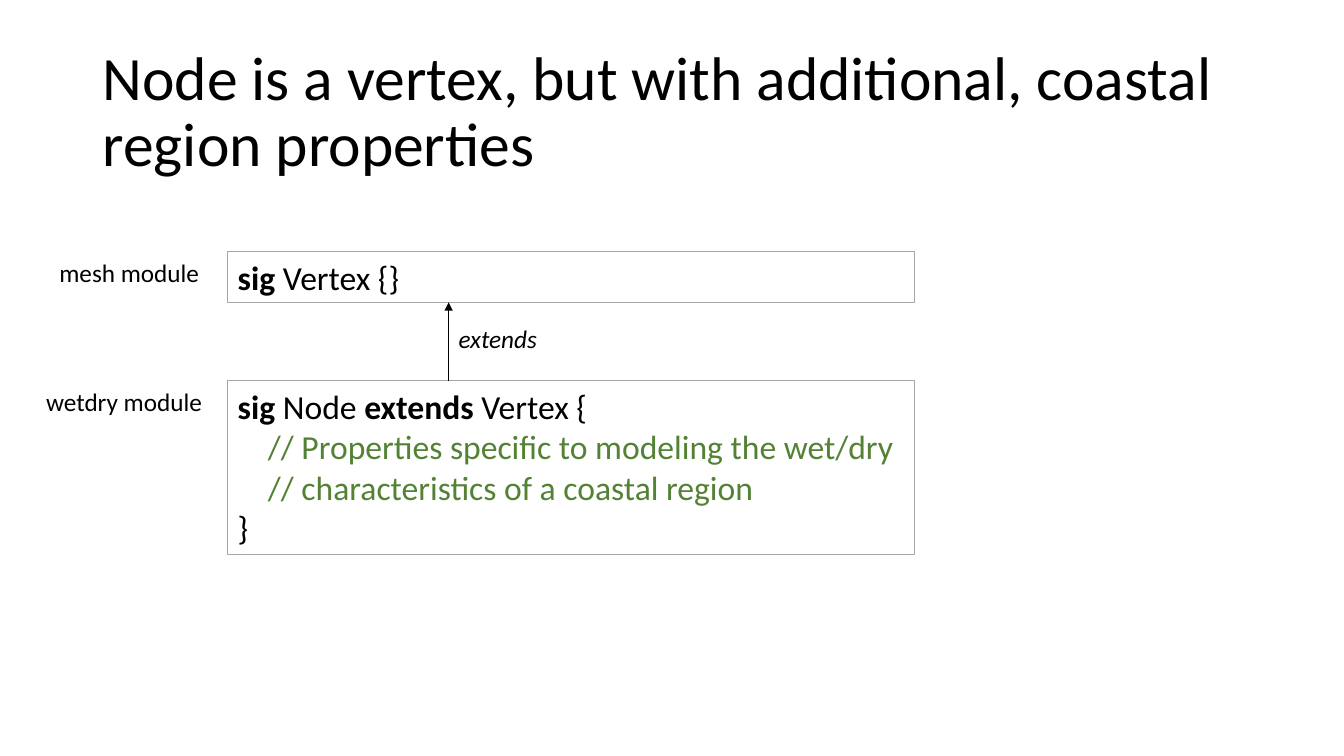
from dataclasses import dataclass
from typing import NamedTuple

from lxml import etree
from pptx import Presentation
from pptx import util as u
from pptx.dml.color import RGBColor
from pptx.enum import shapes, text
from pptx.oxml import ns


@dataclass(frozen=True)
class Theme:
    font: str = "Calibri"
    ink: RGBColor = RGBColor(0x00, 0x00, 0x00)
    comment: RGBColor = RGBColor(0x54, 0x82, 0x35)
    border: RGBColor = RGBColor(0xA6, 0xA6, 0xA6)
    title_size: int = 44
    code_size: int = 24
    label_size: int = 18
    border_width: float = 0.75
    arrow_width: float = 0.5
    code_indent: float = 0.3


class Area(NamedTuple):
    """Place on the slide, in percent of its width and height."""
    left: float
    top: float
    width: float
    height: float


class Span(NamedTuple):
    words: str
    bold: bool = False


class Line(NamedTuple):
    spans: list[Span]
    is_comment: bool = False


class Module(NamedTuple):
    name: str
    label_left: float
    label_width: float
    top: float
    height: float
    code: list[Line]


THEME = Theme()
CODE_LEFT, CODE_WIDTH = 16.95, 51.09
LABEL_HEIGHT = 5.33
ARROW_X = 33.38

MESH = Module("mesh module", 3.68, 12, 33.33, 6.67, [
    Line([Span("sig", True), Span(" Vertex {}")]),
])
WETDRY = Module("wetdry module", 2.7, 13.28, 50.4, 22.93, [
    Line([Span("sig", True), Span(" Node "), Span("extends", True), Span(" Vertex {")]),
    Line([Span("// Properties specific to modeling the wet/dry")], is_comment=True),
    Line([Span("// characteristics of a coastal region")], is_comment=True),
    Line([Span("}")]),
])

deck = Presentation()
deck.slide_width, deck.slide_height = u.Inches(13.33), u.Inches(7.5)
page = deck.slides.add_slide(deck.slide_layouts[6])


def across(share: float) -> int:
    return round(deck.slide_width * share / 100)


def down(share: float) -> int:
    return round(deck.slide_height * share / 100)


def place(area: Area) -> tuple[int, int, int, int]:
    return across(area.left), down(area.top), across(area.width), down(area.height)


def style(font, size: int, color: RGBColor = THEME.ink) -> None:
    font.name, font.size = THEME.font, u.Pt(size)
    font.color.rgb = color


def add_text(area: Area, words: str, size: int, wrap: bool = False):
    box = page.shapes.add_textbox(*place(area))
    frame = box.text_frame
    frame.word_wrap = wrap
    para = frame.paragraphs[0]
    para.text = words
    style(para.font, size)
    return frame


def add_label(area: Area, words: str):
    frame = add_text(area, words, THEME.label_size)
    frame.auto_size = text.MSO_AUTO_SIZE.SHAPE_TO_FIT_TEXT
    return frame


def add_module(module: Module) -> None:
    # Bordered code box
    area = Area(CODE_LEFT, module.top, CODE_WIDTH, module.height)
    box = page.shapes.add_shape(shapes.MSO_SHAPE.RECTANGLE, *place(area))
    box.shadow.inherit = False
    box.fill.background()
    box.line.color.rgb = THEME.border
    box.line.width = u.Pt(THEME.border_width)
    frame = box.text_frame
    frame.word_wrap = True
    frame.auto_size = text.MSO_AUTO_SIZE.SHAPE_TO_FIT_TEXT
    frame.vertical_anchor = text.MSO_ANCHOR.TOP

    # Code lines, with comments indented
    for number, line in enumerate(module.code):
        para = frame.paragraphs[0] if number == 0 else frame.add_paragraph()
        para.alignment = text.PP_ALIGN.LEFT
        style(para.font, THEME.code_size, THEME.comment if line.is_comment else THEME.ink)
        if line.is_comment:
            para._p.get_or_add_pPr().set("marL", str(u.Inches(THEME.code_indent)))
        for span in line.spans:
            run = para.add_run()
            run.text, run.font.bold = span.words, span.bold

    # Module name beside the box
    add_label(Area(module.label_left, module.top, module.label_width, LABEL_HEIGHT), module.name)


def add_arrow(x: float, start: float, end: float) -> None:
    arrow = page.shapes.add_connector(
        shapes.MSO_CONNECTOR.STRAIGHT, across(x), down(start), across(x), down(end))
    arrow.line.color.rgb = THEME.ink
    arrow.line.width = u.Pt(THEME.arrow_width)
    etree.SubElement(arrow.line._get_or_add_ln(), ns.qn("a:tailEnd"), type="triangle")
    etree.SubElement(arrow._element.spPr, ns.qn("a:effectLst"))


# Title
title = add_text(Area(6.9, 5.33, 86.27, 19.33),
                 "Node is a vertex, but with additional, coastal region properties",
                 THEME.title_size, wrap=True)
title.vertical_anchor = text.MSO_ANCHOR.MIDDLE
title.paragraphs[0].line_spacing = 0.9

# Modules
for module in (WETDRY, MESH):
    add_module(module)

# Extension arrow from the node up to the vertex
add_arrow(ARROW_X, WETDRY.top, MESH.top + MESH.height)
relation = add_label(Area(ARROW_X, 42.13, 7.58, LABEL_HEIGHT), "extends")
relation.paragraphs[0].font.italic = True

deck.save("out.pptx")
